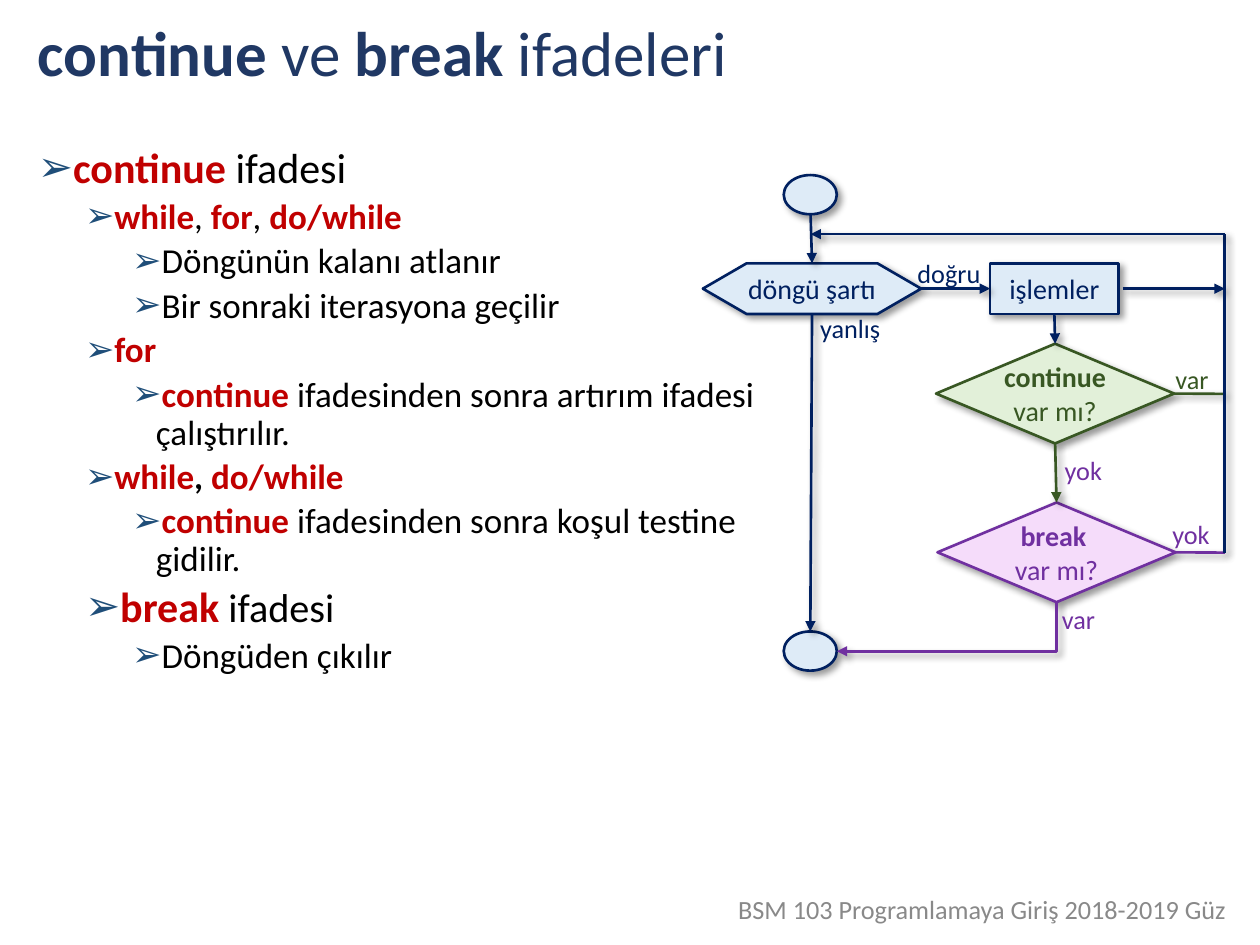
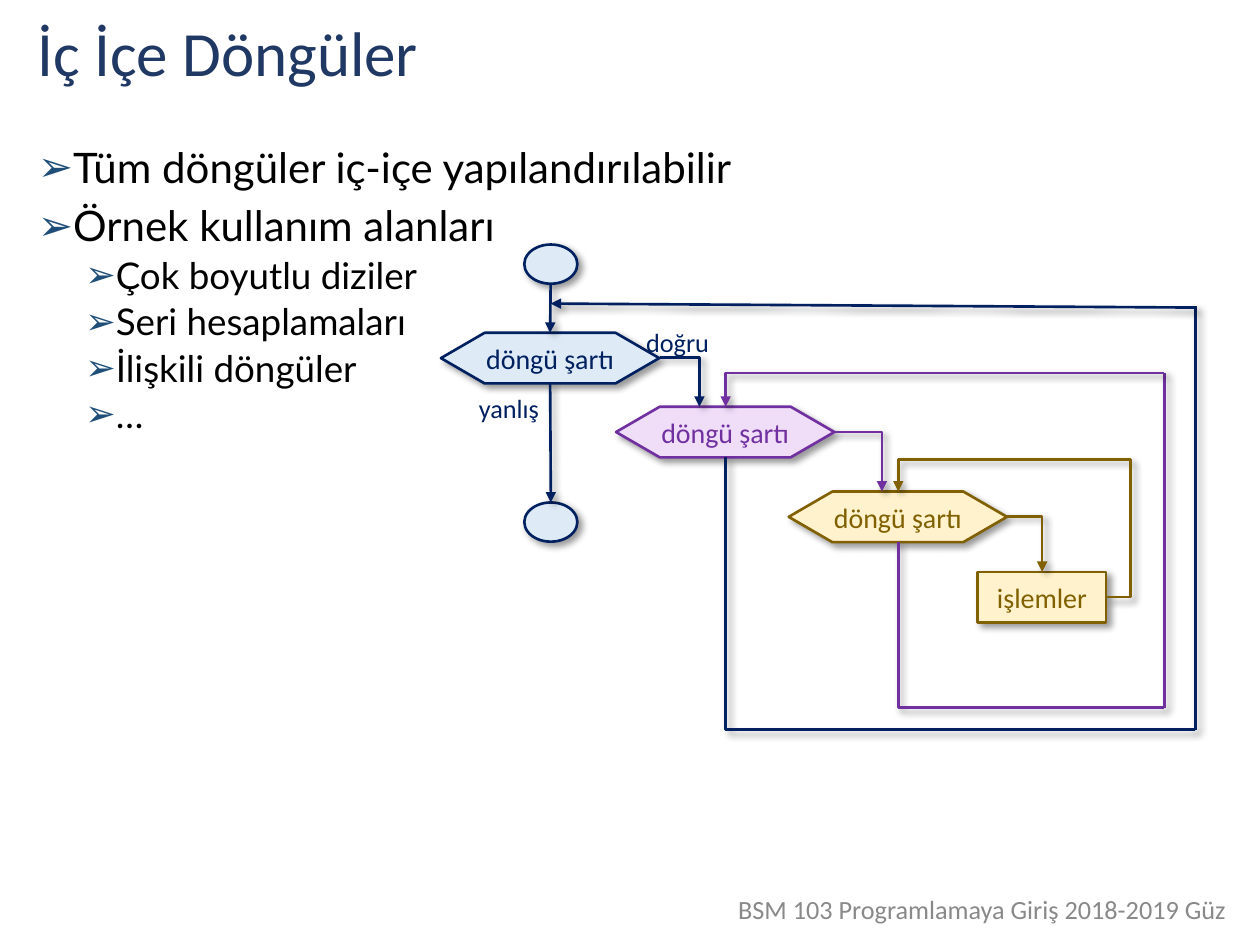
from dataclasses import dataclass
from typing import NamedTuple, Optional

from lxml import etree
from pptx import Presentation
from pptx.dml.color import RGBColor
from pptx.enum import shapes, text
from pptx.oxml import ns
from pptx.util import Cm, Pt

FONT = "Calibri"
BLACK, TITLE, BULLET, HOT, GREY = "000000", "203864", "1F4E79", "C00000", "898989"
FOOTER = "BSM 103 Programlamaya Giriş 2018-2019 Güz"
LEFT, STEP = 0.48, 0.95
FORM, LINK = shapes.MSO_SHAPE, shapes.MSO_CONNECTOR
TOP, WEST, BOTTOM, EAST = range(4)


class Tone(NamedTuple):
    fill: str
    line: str


NAVY = Tone("DEEBF7", "002060")
GREEN = Tone("E2F0D9", "385723")
PINK = Tone("F5DCFA", "7030A0")
LILAC = Tone("F0DEF8", "7030A0")
GOLD = Tone("FFF2CC", "806000")


class Kind(NamedTuple):
    form: int
    wide: float
    high: float
    pad: float = 0


TEST = Kind(FORM.FLOWCHART_PREPARATION, 4.4, 1.02)
DOT = Kind(FORM.OVAL, 1.07, 0.79)
STEPS = Kind(FORM.RECTANGLE, 2.59, 1.02)
CHECK = Kind(FORM.FLOWCHART_DECISION, 4.8, 2.01, 0.13)


@dataclass
class Bit:
    """A stretch of text with one look."""
    words: str
    hue: str = BLACK
    bold: bool = False
    size: Optional[float] = None


@dataclass
class Item:
    level: int
    bits: list
    size: float = 20


@dataclass
class Label:
    words: str
    x: float
    y: float
    tone: Tone = NAVY


def hot(words: str, size: Optional[float] = None) -> Bit:
    return Bit(words, HOT, True, size)


def color(code: str) -> RGBColor:
    return RGBColor.from_string(code)


def add(parent, tag: str, **marks):
    node = etree.SubElement(parent, ns.qn(tag))
    for key, value in marks.items():
        node.set(key, str(value))
    return node


def style(run, size: float, hue: str, bold: bool = False, font: str = FONT) -> None:
    run.font.name, run.font.size, run.font.bold = font, Pt(size), bold
    run.font.color.rgb = color(hue)


def write(para, bits: list, size: float, font: str = FONT) -> None:
    for bit in bits:
        run = para.add_run()
        run.text = bit.words
        style(run, bit.size or size, bit.hue, bit.bold, font)


def center(frame, words: str, size: float, hue: str) -> None:
    frame.text = words
    frame.word_wrap = True
    for para in frame.paragraphs:
        para.alignment = text.PP_ALIGN.CENTER
        for run in para.runs:
            style(run, size, hue)


def pad(frame, side: float, edge: float) -> None:
    frame.margin_left = frame.margin_right = Cm(side)
    frame.margin_top = frame.margin_bottom = Cm(edge)


def place(shape, x: float, y: float, wide: float, high: float) -> None:
    shape.left, shape.top, shape.width, shape.height = map(Cm, (x, y, wide, high))


def shade(shape) -> None:
    """Drop a soft shadow to the lower right."""
    effect = add(shape._element.spPr, "a:effectLst")
    outer = add(effect, "a:outerShdw", blurRad=Pt(4), dist=Pt(3),
                dir=45 * 60000, algn="tl", rotWithShape=0)
    add(add(outer, "a:srgbClr", val=BLACK), "a:alpha", val=40000)


def ink(shape, tone: Tone) -> None:
    shape.line.color.rgb = color(tone.line)
    shape.line.width = Pt(1.5)


def node(slide, kind: Kind, x: float, y: float, tone: Tone = NAVY, words: str = ""):
    shape = slide.shapes.add_shape(kind.form, *map(Cm, (x, y, kind.wide, kind.high)))
    shape.fill.solid()
    shape.fill.fore_color.rgb = color(tone.fill)
    ink(shape, tone)
    shade(shape)
    if words:
        pad(shape.text_frame, 0, kind.pad)
        shape.text_frame.vertical_anchor = text.MSO_ANCHOR.MIDDLE
        center(shape.text_frame, words, 16, tone.line)
    return shape


def finish(link, tone: Tone, arrow: str) -> None:
    """Colour a connector; arrow is "head", "tail" or empty."""
    ink(link, tone)
    if arrow:
        add(link.line._get_or_add_ln(), f"a:{arrow}End", type="triangle")
    shade(link)


def line(slide, start: tuple, stop: tuple, tone: Tone = NAVY, arrow: str = "tail") -> None:
    """Draw a straight line; an end is (x, y) or (shape, side)."""
    ends = [(0, 0) if hasattr(end[0], "shape_id") else end for end in (start, stop)]
    link = slide.shapes.add_connector(
        LINK.STRAIGHT, *(Cm(value) for end in ends for value in end))
    for end, join in ((start, link.begin_connect), (stop, link.end_connect)):
        if hasattr(end[0], "shape_id"):
            join(*end)
    finish(link, tone, arrow)


def bend(slide, start: tuple, stop: tuple, tone: Tone,
         arrow: str = "tail", turns: tuple = ()) -> None:
    """Draw an elbow that leaves start sideways and meets stop upright."""
    link = slide.shapes.add_connector(LINK.ELBOW, *map(Cm, start + stop))
    geom = link._element.spPr.find(ns.qn("a:prstGeom"))
    geom.set("prst", f"bentConnector{2 + len(turns)}")
    guides = geom.find(ns.qn("a:avLst"))
    for spot, turn in enumerate(turns, 1):
        add(guides, "a:gd", name=f"adj{spot}", fmla=f"val {turn}")
    finish(link, tone, arrow)


def tag(slide, labels: list) -> None:
    for label in labels:
        box = slide.shapes.add_textbox(*map(Cm, (label.x, label.y, 1.32, 0.89)))
        pad(box.text_frame, 0, 0.13)
        center(box.text_frame, label.words, 15, label.tone.line)


def fill(body, items: list, font: str) -> None:
    frame = body.text_frame
    frame.auto_size = text.MSO_AUTO_SIZE.NONE
    for spot, item in enumerate(items):
        para = frame.add_paragraph() if spot else frame.paragraphs[0]
        para.level = item.level
        para.line_spacing = 0.9
        para.space_before = Pt((3.8 if item.level else 7.5) if spot else 0)
        props = para._p.get_or_add_pPr()
        props.set("marL", str(Cm(LEFT + STEP * item.level)))
        props.set("indent", str(Cm(-LEFT)))
        add(add(props, "a:buClr"), "a:srgbClr", val=BULLET)
        add(props, "a:buChar", char="➢")
        write(para, item.bits, item.size, font)


def page(deck, title: list, items: list, wide: float, font: str = FONT):
    """Add a slide with title, bullet list and footer."""
    slide = deck.slides.add_slide(deck.slide_layouts[1])
    head, body = slide.placeholders
    place(head, 0.51, 0.33, 24.41, 1.6)
    head.text_frame.vertical_anchor = text.MSO_ANCHOR.MIDDLE
    head.text_frame.auto_size = text.MSO_AUTO_SIZE.NONE
    para = head.text_frame.paragraphs[0]
    para.alignment, para.line_spacing = text.PP_ALIGN.LEFT, 0.9
    write(para, title, 36)
    place(body, 0.51, 2.84, wide, 13.92)
    fill(body, items, font)
    foot = slide.shapes.add_textbox(*map(Cm, (14.3, 17.88, 11, 0.71)))
    center(foot.text_frame, FOOTER, 15, GREY)
    return slide


def jumps(deck) -> None:
    title = [Bit("continue ", TITLE, True), Bit("ve ", TITLE),
             Bit("break", TITLE, True), Bit(" ifadeleri", TITLE)]
    slide = page(deck, title, [
        Item(0, [hot("continue "), Bit("ifadesi")], 24),
        Item(1, [hot("while"), Bit(", "), hot("for"), Bit(", "), hot("do/while")]),
        Item(2, [Bit("Döngünün kalanı atlanır")]),
        Item(2, [Bit("Bir sonraki iterasyona geçilir")]),
        Item(1, [hot("for")]),
        Item(2, [hot("continue "),
                 Bit("ifadesinden sonra artırım ifadesi çalıştırılır.")]),
        Item(1, [hot("while"), Bit(", ", bold=True), hot("do/while")]),
        Item(2, [hot("continue "), Bit("ifadesinden sonra koşul testine gidilir.")]),
        Item(1, [hot("break", 24), Bit(" ifadesi", size=23)]),
        Item(2, [Bit("Döngüden çıkılır")]),
    ], 15.29)
    test = node(slide, TEST, 14.17, 5.31, NAVY, "döngü şartı")
    node(slide, DOT, 15.8, 3.53)
    stop = node(slide, DOT, 15.8, 12.73)
    work = node(slide, STEPS, 19.96, 5.31, NAVY, "işlemler")
    skip = node(slide, CHECK, 18.87, 6.93, GREEN, "continue var mı?")
    quit = node(slide, CHECK, 18.9, 10.13, PINK, "break \nvar mı?")
    for check in (skip, quit):
        check.text_frame.paragraphs[0].runs[0].font.bold = True
    para = skip.text_frame.paragraphs[0]
    para.text = ""
    write(para, [Bit("continue", GREEN.line, True), Bit(" var mı?", GREEN.line)], 16)

    rail, back = 24.69, 4.72
    line(slide, (test, BOTTOM), (stop, TOP))
    line(slide, (16.34, 4.32), (test, TOP))
    line(slide, (test, EAST), (work, WEST))
    line(slide, (work, BOTTOM), (skip, TOP))
    line(slide, (22.63, 5.82), (rail, 5.82))
    line(slide, (skip, EAST), (rail, 7.94), GREEN, "")
    line(slide, (skip, BOTTOM), (quit, TOP), GREEN)
    line(slide, (quit, EAST), (rail, 11.14), PINK, "")
    bend(slide, (16.87, 13.13), (21.3, 12.14), PINK, "head")
    line(slide, (rail, 11.14), (rail, back), arrow="")
    line(slide, (rail, back), (16.34, back))
    tag(slide, [
        Label("var", 23.37, 7.19, GREEN), Label("yok", 23.35, 10.31, PINK),
        Label("yok", 21.18, 9.02, PINK), Label("var", 21.08, 12.04, PINK),
        Label("doğru", 18.47, 5.05), Label("yanlış", 16.48, 6.17),
    ])


def nested(deck) -> None:
    tops = ["Tüm döngüler iç-içe yapılandırılabilir", "Örnek kullanım alanları"]
    subs = ["Çok boyutlu diziler", "Seri hesaplamaları", "İlişkili döngüler", "…"]
    items = [Item(0, [Bit(words)], 24) for words in tops]
    items += [Item(1, [Bit(words)], 21) for words in subs]
    slide = page(deck, [Bit("İç İçe Döngüler", TITLE)], items, 24.41, "Lato")

    test = node(slide, TEST, 8.89, 6.71, NAVY, "döngü şartı")
    node(slide, DOT, 10.57, 4.93)
    stop = node(slide, DOT, 10.57, 10.13)
    node(slide, STEPS, 19.71, 11.53, GOLD, "işlemler")
    node(slide, TEST, 15.9, 9.91, GOLD, "döngü şartı")
    node(slide, TEST, 12.42, 8.2, LILAC, "döngü şartı")

    line(slide, (test, BOTTOM), (stop, TOP))
    line(slide, (11.1, 5.72), (test, TOP))
    bend(slide, (13.3, 7.21), (14.1, 8.2), NAVY)
    bend(slide, (16.84, 8.71), (17.78, 9.91), LILAC)
    bend(slide, (20.3, 10.41), (21.01, 11.53), GOLD)
    bend(slide, (22.3, 12.04), (18.11, 9.91), GOLD, turns=(-11700, 130000))
    inner, outer = 23.47, 24.1
    bend(slide, (inner, 14.27), (18.11, 10.92), LILAC, "")
    line(slide, (inner, 14.27), (inner, 7.52), LILAC, "")
    bend(slide, (inner, 7.52), (14.63, 8.2), LILAC)
    bend(slide, (outer, 14.71), (14.63, 9.22), NAVY, "")
    line(slide, (outer, 14.71), (outer, 6.17), arrow="")
    line(slide, (outer, 6.2), (11.1, 6.12))
    tag(slide, [Label("doğru", 13, 6.45), Label("yanlış", 9.6, 7.77)])


def main() -> None:
    deck = Presentation()
    deck.slide_width, deck.slide_height = Cm(25.4), Cm(19.05)
    jumps(deck)
    nested(deck)
    deck.save("out.pptx")


if __name__ == "__main__":
    main()
